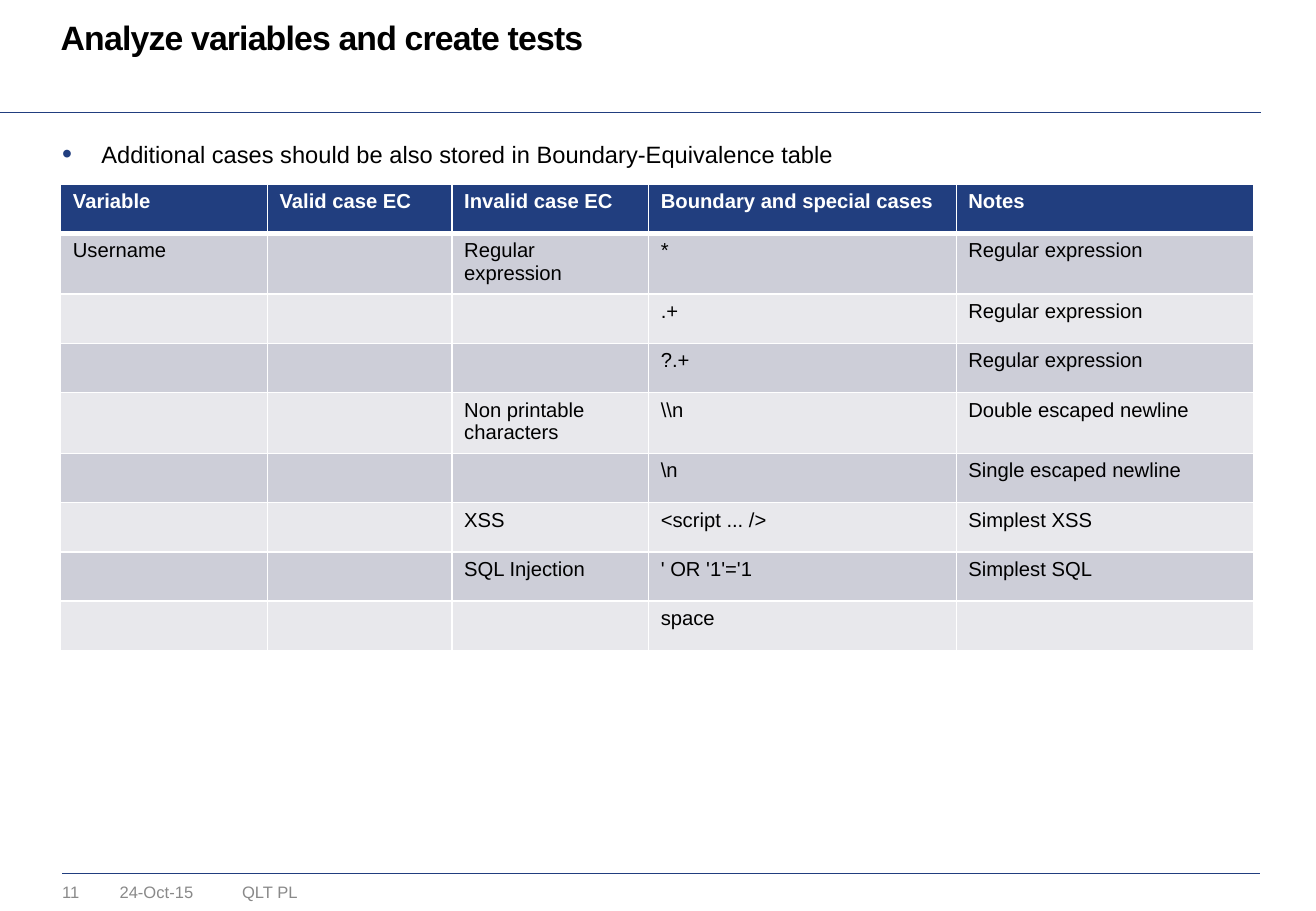
from dataclasses import dataclass

from lxml.etree import SubElement
from pptx import Presentation
from pptx.dml.color import RGBColor
from pptx.enum.shapes import MSO_CONNECTOR
from pptx.oxml import parse_xml
from pptx.oxml.ns import nsdecls, qn
from pptx.slide import Slide
from pptx.table import _Cell
from pptx.text.text import _Paragraph
from pptx.util import Cm, Pt


@dataclass(frozen=True)
class Theme:
    font: str = "Arial"
    navy: str = "213E7F"
    black: str = "000000"
    white: str = "FFFFFF"
    grey: str = "898989"
    bands: tuple[str, str] = ("CDCED8", "E8E8EC")
    title: float = 20
    body: float = 14
    cell: float = 12
    footer: float = 9.8
    rule: float = 0.25
    border: float = 1
    header_border: float = 3


@dataclass(frozen=True)
class Label:
    text: str
    left: float
    top: float
    width: float
    height: float
    size: float
    color: str
    bold: bool = False


@dataclass(frozen=True)
class Rule:
    left: float
    right: float
    y: float


THEME = Theme()

TITLE = Label("Analyze variables and create tests", 1.27, 0.43, 25.22, 0.79,
              THEME.title, THEME.black, True)
BULLET = Label("Additional cases should be also stored in Boundary-Equivalence table",
               1.3, 2.92, 25.2, 0.8, THEME.body, THEME.black)
FOOTERS = [
    Label(text, left, 18.44, width, 0.42, THEME.footer, THEME.grey)
    for text, left, width in [("11", 1.3, 1), ("24-Oct-15", 2.5, 2.26), ("QLT PL", 5.06, 3.58)]
]
RULES = [Rule(0, 26.36, 2.34), Rule(1.3, 26.34, 18.26)]

COLUMN_WIDTHS = [4.32, 3.86, 4.11, 6.43, 6.22]
ROW_HEIGHT = 1.03
ROWS = [
    ("Variable", "Valid case EC", "Invalid case EC", "Boundary and special cases", "Notes"),
    ("Username", "", "Regular expression", "*", "Regular expression"),
    ("", "", "", ".+", "Regular expression"),
    ("", "", "", "?.+", "Regular expression"),
    ("", "", "Non printable characters", r"\\n", "Double escaped newline"),
    ("", "", "", r"\n", "Single escaped newline"),
    ("", "", "XSS", "<script ... />", "Simplest XSS"),
    ("", "", "SQL Injection", "' OR '1'='1", "Simplest SQL"),
    ("", "", "", "space", ""),
]


def style(p: _Paragraph, size: float, color: str, bold: bool = False) -> None:
    p.font.name = THEME.font
    p.font.size = Pt(size)
    p.font.bold = bold
    p.font.color.rgb = RGBColor.from_string(color)


def add_label(s: Slide, label: Label) -> _Paragraph:
    sp = s.shapes.add_textbox(Cm(label.left), Cm(label.top), Cm(label.width), Cm(label.height))
    tf = sp.text_frame
    tf.word_wrap = True
    tf.margin_left = tf.margin_top = tf.margin_right = tf.margin_bottom = 0
    p = tf.paragraphs[0]
    p.text = label.text
    style(p, label.size, label.color, label.bold)
    return p


def add_bullet(p: _Paragraph) -> None:
    pPr = p._p.get_or_add_pPr()
    pPr.set("marL", str(Cm(0.82)))
    pPr.set("indent", str(Cm(-0.82)))
    marks = [
        f'<a:buClr {nsdecls("a")}><a:srgbClr val="{THEME.navy}"/></a:buClr>',
        f'<a:buSzPct {nsdecls("a")} val="120000"/>',
        f'<a:buFont {nsdecls("a")} typeface="{THEME.font}"/>',
        f'<a:buChar {nsdecls("a")} char="•"/>',
    ]
    for i, mark in enumerate(marks):
        pPr.insert(i, parse_xml(mark))


def add_rule(s: Slide, rule: Rule) -> None:
    line = s.shapes.add_connector(MSO_CONNECTOR.STRAIGHT, Cm(rule.left), Cm(rule.y),
                                  Cm(rule.right), Cm(rule.y))
    line.line.color.rgb = RGBColor.from_string(THEME.navy)
    line.line.width = Pt(THEME.rule)
    SubElement(line._element.spPr, qn("a:effectLst"))


def set_borders(cell: _Cell, top: float, bottom: float) -> None:
    tcPr = cell._tc.get_or_add_tcPr()
    sides = {"lnL": THEME.border, "lnR": THEME.border, "lnT": top, "lnB": bottom}
    for i, (side, width) in enumerate(sides.items()):
        tcPr.insert(i, parse_xml(
            f'<a:{side} {nsdecls("a")} w="{Pt(width)}"><a:solidFill>'
            f'<a:srgbClr val="{THEME.white}"/></a:solidFill></a:{side}>'))


def add_cases_table(s: Slide) -> None:
    table = s.shapes.add_table(len(ROWS), len(COLUMN_WIDTHS), Cm(1.27), Cm(3.85),
                               Cm(sum(COLUMN_WIDTHS)), Cm(ROW_HEIGHT * len(ROWS))).table
    for column, width in zip(table.columns, COLUMN_WIDTHS):
        column.width = Cm(width)
    for i, texts in enumerate(ROWS):
        table.rows[i].height = Cm(ROW_HEIGHT)
        header = i == 0
        fill = THEME.navy if header else THEME.bands[(i - 1) % 2]
        color = THEME.white if header else THEME.black
        top = THEME.header_border if i == 1 else THEME.border
        bottom = THEME.header_border if header else THEME.border
        for j, text in enumerate(texts):
            cell = table.cell(i, j)
            cell.text = text
            cell.fill.solid()
            cell.fill.fore_color.rgb = RGBColor.from_string(fill)
            style(cell.text_frame.paragraphs[0], THEME.cell, color, header)
            set_borders(cell, top, bottom)


def main() -> None:
    prs = Presentation()
    prs.slide_width, prs.slide_height = Cm(27.51), Cm(19.05)
    s = prs.slides.add_slide(prs.slide_layouts[6])
    for rule in RULES:
        add_rule(s, rule)
    for footer in FOOTERS:
        add_label(s, footer)
    add_bullet(add_label(s, BULLET))
    p = add_label(s, TITLE)
    p.line_spacing = Pt(21.7)
    p.runs[0]._r.get_or_add_rPr().set("spc", "-50")
    add_cases_table(s)
    prs.save("out.pptx")


main()
